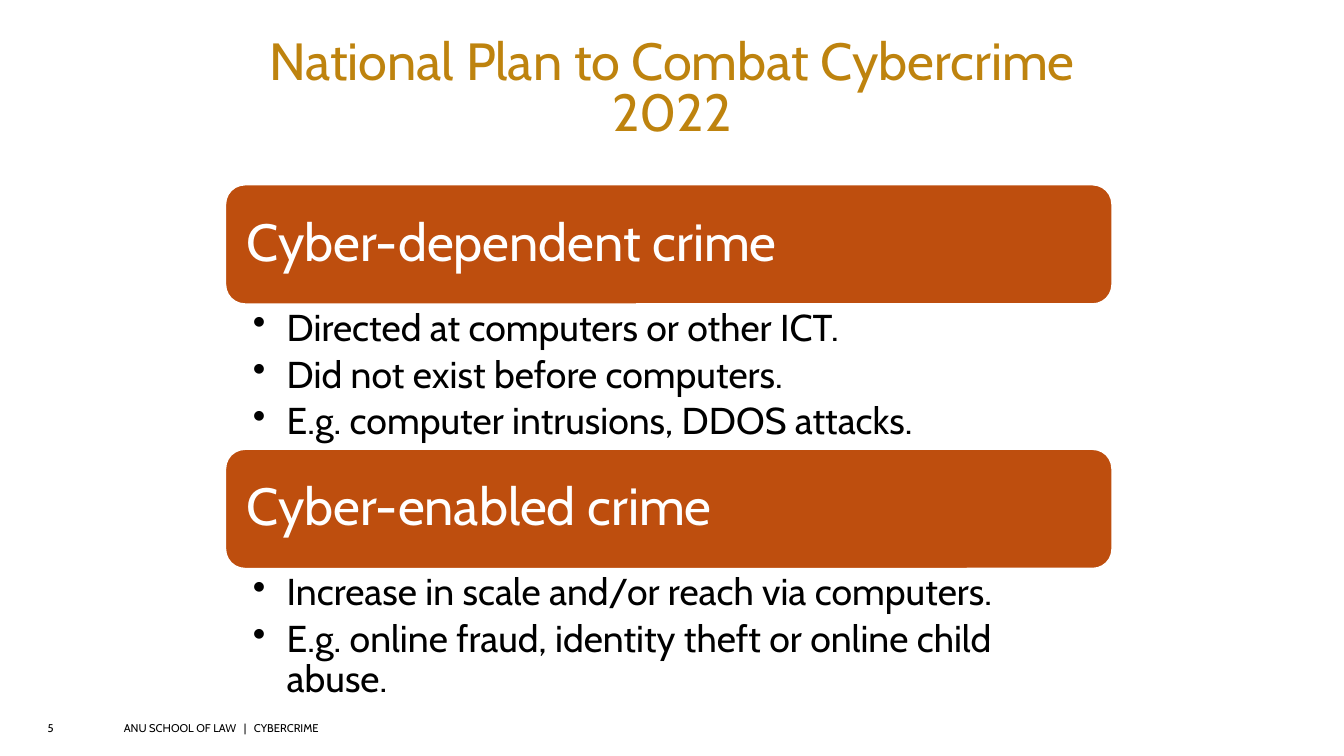
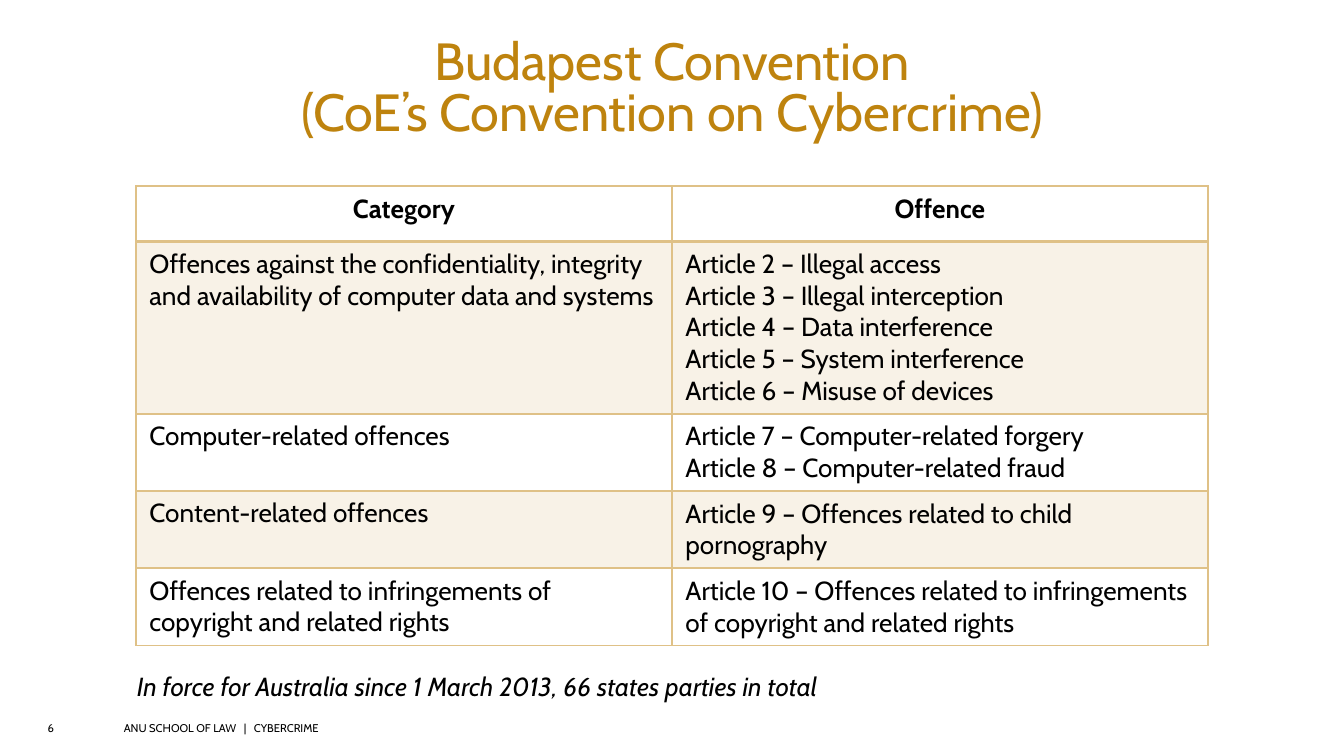
from lxml.etree import SubElement
from pptx import Presentation
from pptx.dml.color import RGBColor
from pptx.enum.shapes import MSO_SHAPE
from pptx.enum.text import MSO_ANCHOR, MSO_AUTO_SIZE, PP_ALIGN
from pptx.oxml.ns import qn
from pptx.util import Cm, Pt

COLORS = {"title": "BE830E", "card": "BE4E0E", "table": "DFC187",
          "text": "000000", "white": "FFFFFF"}
FONT = "Cabin"
DEFAULT_INSETS = (0.25, 0.13, 0.25, 0.13)
NO_INSETS = (0, 0, 0, 0)

TITLE = {"size": Pt(28), "color": "title"}
FOOTER = {"size": Pt(6)}
CARD_HEADING = {"size": Pt(28), "color": "white"}
CARD_POINT = {"size": Pt(20)}
TABLE_TEXT = {"size": Pt(14)}
TABLE_HEADING = {"size": Pt(14), "bold": True}
NOTE = {"size": Pt(14), "italic": True}

CENTERED = {"alignment": PP_ALIGN.CENTER}
TITLE_LAYOUT = {"alignment": PP_ALIGN.CENTER, "line_spacing": 0.8}
HEADING_LAYOUT = {"line_spacing": 0.9, "space_after": Pt(9.8)}
POINT_LAYOUT = {"level": 1, "line_spacing": 0.9, "space_after": Pt(3.5)}

CRIME_TYPES = [
    ("Cyber-dependent crime", 3.48,
     ["Directed at computers or other ICT.",
      "Did not exist before computers.",
      "E.g. computer intrusions, DDOS attacks."]),
    ("Cyber-enabled crime", 8.48,
     ["Increase in scale and/or reach via computers.",
      "E.g. online fraud, identity theft or online child abuse."]),
]
OFFENCES = [
    ("Category", "Offence"),
    ("Offences against the confidentiality, integrity and availability "
     "of computer data and systems",
     "Article 2 – Illegal access\nArticle 3 – Illegal interception\n"
     "Article 4 – Data interference\nArticle 5 – System interference\n"
     "Article 6 – Misuse of devices"),
    ("Computer-related offences",
     "Article 7 – Computer-related forgery\nArticle 8 – Computer-related fraud"),
    ("Content-related offences",
     "Article 9 – Offences related to child pornography"),
    ("Offences related to infringements of copyright and related rights",
     "Article 10 – Offences related to infringements of copyright "
     "and related rights"),
]
ROW_HEIGHTS = [1.04, 3.26, 1.46, 1.46, 1.46]


def rgb(name):
    return RGBColor.from_string(COLORS[name])


def apply(target, values):
    for name, value in values.items():
        setattr(target, name, value)


def add_bullet(paragraph):
    properties = paragraph._p.get_or_add_pPr()
    properties.set("marL", str(Cm(0.64)))
    properties.set("indent", str(-Cm(0.64)))
    SubElement(properties, qn("a:buChar"), char="•")


def add_tabs(paragraph, positions):
    tabs = SubElement(paragraph._p.get_or_add_pPr(), qn("a:tabLst"))
    for position in positions:
        SubElement(tabs, qn("a:tab"), pos=str(Cm(position)), algn="l")


def write(frame, texts, font_values, layout=None, bulleted=False, tabs=()):
    """Fill a text frame with one formatted paragraph for each text."""
    values = dict(font_values)
    color = rgb(values.pop("color", "text"))
    for index, text in enumerate(texts):
        paragraph = frame.add_paragraph() if index else frame.paragraphs[0]
        paragraph.text = text
        if bulleted:
            add_bullet(paragraph)
        if tabs:
            add_tabs(paragraph, tabs)
        apply(paragraph, layout or {})
        for run in paragraph.runs:
            apply(run.font, {"name": FONT, **values})
            run.font.color.rgb = color
        for line_break in paragraph._p.findall(qn("a:br")):
            SubElement(line_break, qn("a:rPr"), sz=str(int(values["size"].pt * 100)))


def add_text(shapes, box, texts, font_values, layout=None, insets=DEFAULT_INSETS,
             anchor=MSO_ANCHOR.TOP, wrap=True, **options):
    frame = shapes.add_textbox(*map(Cm, box)).text_frame
    left, top, right, bottom = map(Cm, insets)
    apply(frame, {"word_wrap": wrap, "vertical_anchor": anchor,
                  "margin_left": left, "margin_top": top,
                  "margin_right": right, "margin_bottom": bottom})
    write(frame, texts, font_values, layout, **options)
    return frame


def add_base_slide(presentation, title, number):
    """Add a slide with its title, page number and footer."""
    slide = presentation.slides.add_slide(presentation.slide_layouts[6])
    add_text(slide.shapes, (0.9, 13.64, 1, 0.3), [number], FOOTER, insets=NO_INSETS)
    add_text(slide.shapes, (4.09, 0.64, 17.22, 1.32), [title], TITLE, TITLE_LAYOUT)
    add_text(slide.shapes, (2.34, 13.64, 12, 0.3),
             ["ANU SCHOOL OF LAW\t|\tCYBERCRIME"], FOOTER,
             insets=NO_INSETS, tabs=(2.27, 2.46))
    return slide


def add_crime_type(shapes, box, heading, points):
    """Place a heading card with its bullet points below it."""
    left, top, width, height = box
    card_height, edge = 2.28, 0.11
    card = shapes.add_shape(MSO_SHAPE.ROUNDED_RECTANGLE,
                            *map(Cm, (left, top, width, card_height)))
    card.shadow.inherit = False
    card.fill.solid()
    card.fill.fore_color.rgb = rgb("card")
    card.line.color.rgb = rgb("white")
    card.line.width = Pt(1.5)
    add_text(shapes, (left + edge, top + edge, width - 2 * edge, card_height - 2 * edge),
             [heading], CARD_HEADING, HEADING_LAYOUT,
             insets=(0.3, 0.3, 0.3, 0.3), anchor=MSO_ANCHOR.MIDDLE)
    add_text(shapes, (left, top + card_height, width, height - card_height),
             points, CARD_POINT, POINT_LAYOUT,
             insets=(0.53, 0.08, 0.41, 0.08), bulleted=True)


def add_cell_borders(cell, widths):
    properties = cell._tc.get_or_add_tcPr()
    for index, (side, width) in enumerate(widths.items()):
        line = properties.makeelement(qn(f"a:ln{side}"), {"w": str(Pt(width))})
        fill = SubElement(line, qn("a:solidFill"))
        SubElement(fill, qn("a:srgbClr"), val=COLORS["table"])
        properties.insert(index, line)


def fill_cell(cell, shaded):
    if not shaded:
        cell.fill.background()
        return
    cell.fill.solid()
    cell.fill.fore_color.rgb = rgb("table")
    color = cell._tc.tcPr.find(".//" + qn("a:srgbClr"))
    SubElement(color, qn("a:alpha"), val="20000")


def add_offence_table(shapes, box):
    table = shapes.add_table(len(OFFENCES), 2, *map(Cm, box)).table
    apply(table, {"first_row": False, "horz_banding": False})
    for row, height in zip(table.rows, ROW_HEIGHTS):
        row.height = Cm(height)
    for row_index, texts in enumerate(OFFENCES):
        header = row_index == 0
        for column_index, text in enumerate(texts):
            cell = table.cell(row_index, column_index)
            write(cell.text_frame, [text], TABLE_HEADING if header else TABLE_TEXT,
                  CENTERED if header else None)
            if column_index and not header:
                cell.vertical_anchor = MSO_ANCHOR.MIDDLE
            fill_cell(cell, row_index % 2 == 1)
            add_cell_borders(cell, {"L": 1, "R": 1,
                                    "T": 2 if row_index == 1 else 1,
                                    "B": 2 if header else 1})


def add_plan_slide(presentation):
    slide = add_base_slide(presentation, "National Plan to Combat Cybercrime 2022", "5")
    group = slide.shapes.add_group_shape()
    for heading, top, points in CRIME_TYPES:
        add_crime_type(group.shapes, (4.25, top, 16.78, 5), heading, points)


def add_convention_slide(presentation):
    slide = add_base_slide(
        presentation, "Budapest Convention\n(CoE’s Convention on Cybercrime)", "6")
    add_offence_table(slide.shapes, (2.57, 3.52, 20.26, sum(ROW_HEIGHTS)))
    note = add_text(slide.shapes, (2.34, 12.55, 14.05, 0.86),
                    ["In force for Australia since 1 March 2013, 66 states parties in total"],
                    NOTE, wrap=False)
    note.auto_size = MSO_AUTO_SIZE.SHAPE_TO_FIT_TEXT


def main():
    presentation = Presentation()
    apply(presentation, {"slide_width": Cm(25.4), "slide_height": Cm(14.29)})
    add_plan_slide(presentation)
    add_convention_slide(presentation)
    presentation.save("out.pptx")


if __name__ == "__main__":
    main()
